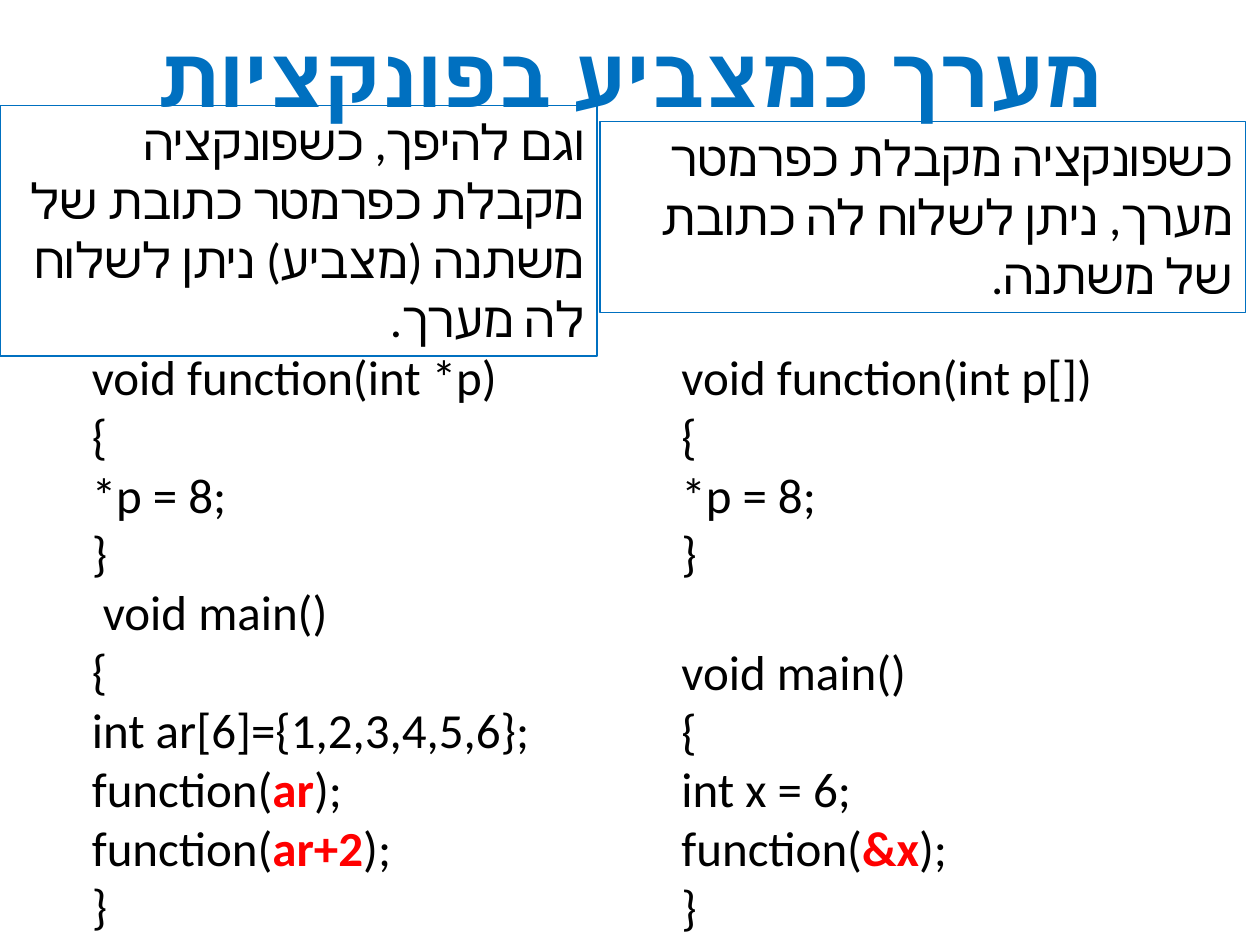
from dataclasses import dataclass

from lxml import etree
from pptx import Presentation
from pptx.dml.color import RGBColor
from pptx.enum import shapes, text
from pptx.oxml import ns
from pptx.util import Pt


@dataclass(frozen=True)
class Theme:
    font: str = "Calibri"
    blue: RGBColor = RGBColor(0x00, 0x70, 0xC0)
    red: RGBColor = RGBColor(0xFF, 0x00, 0x00)
    black: RGBColor = RGBColor(0x00, 0x00, 0x00)
    white: RGBColor = RGBColor(0xFF, 0xFF, 0xFF)
    title_size: int = 48
    body_size: int = 28
    blank_line: int = 34
    nudge: float = 6.3
    border: float = 0.75


THEME = Theme()

TITLE = "מערך כמצביע בפונקציות"
ARRAY_NOTE = "כשפונקציה מקבלת כפרמטר מערך, ניתן לשלוח לה כתובת של משתנה."
POINTER_NOTE = ("וגם להיפך, כשפונקציה מקבלת כפרמטר כתובת של משתנה (מצביע) "
                "ניתן לשלוח לה מערך.")
BODY = ["{", "*p = 8;", "}"]
ARRAY_CODE = ["void function(int p[])", *BODY, "void main()", "{",
              "int x = 6;", ("function(", "&x", ");"), "}"]
POINTER_CODE = ["void function(int *p)", *BODY, "void main()", "{",
                "int ar[6]={1,2,3,4,5,6};", ("function(", "ar", ");"),
                ("function(", "ar+2", ");"), "}"]


def add_run(p, words, size, color, bold=False):
    r = p.add_run()
    r.text = words
    formats = {"name": THEME.font, "size": Pt(size), "bold": bold}
    for name, value in formats.items():
        setattr(r.font, name, value)
    r.font.color.rgb = color
    cs = etree.SubElement(r.font._element, ns.qn("a:cs"))
    cs.set("typeface", THEME.font)


def write_hebrew(tf, words, size, color, align, bold=False):
    p = tf.paragraphs[0]
    p.alignment = align
    p._p.get_or_add_pPr().set("rtl", "1")
    add_run(p, words, size, color, bold)


def place(sp, box):
    for name, value in zip(("left", "top", "width", "height"), box):
        setattr(sp, name, Pt(value))


def format_frame(tf, anchor, auto_size):
    formats = {"word_wrap": True, "vertical_anchor": anchor,
               "auto_size": auto_size}
    for name, value in formats.items():
        setattr(tf, name, value)


def add_box(s, box):
    sp = s.shapes.add_shape(shapes.MSO_SHAPE.RECTANGLE, *map(Pt, box))
    sp.shadow.inherit = False
    return sp


def add_title(s, box):
    sp = s.shapes.title
    place(sp, box)
    format_frame(sp.text_frame, text.MSO_ANCHOR.MIDDLE,
                 text.MSO_AUTO_SIZE.SHAPE_TO_FIT_TEXT)
    write_hebrew(sp.text_frame, TITLE, THEME.title_size, THEME.blue,
                 text.PP_ALIGN.CENTER, bold=True)


def add_note(s, box, words):
    sp = add_box(s, box)
    sp.fill.background()
    sp.line.color.rgb = THEME.blue
    sp.line.width = Pt(THEME.border)
    format_frame(sp.text_frame, text.MSO_ANCHOR.TOP,
                 text.MSO_AUTO_SIZE.SHAPE_TO_FIT_TEXT)
    write_hebrew(sp.text_frame, words, THEME.body_size, THEME.black,
                 text.PP_ALIGN.RIGHT)


def add_code(s, box, lines, main_gap=0, main_indent=0):
    sp = add_box(s, box)
    sp.fill.solid()
    sp.fill.fore_color.rgb = THEME.white
    sp.line.fill.background()
    tf = sp.text_frame
    format_frame(tf, text.MSO_ANCHOR.TOP, text.MSO_AUTO_SIZE.NONE)
    for i, line in enumerate(lines):
        p = tf.add_paragraph() if i else tf.paragraphs[0]
        p.alignment = text.PP_ALIGN.LEFT
        if line == "void main()":
            p.space_before = Pt(main_gap)
            p._p.get_or_add_pPr().set("marL", str(Pt(main_indent)))
        parts = (line,) if isinstance(line, str) else line
        for j, part in enumerate(parts):
            marked = j == 1
            add_run(p, part, THEME.body_size,
                    THEME.red if marked else THEME.black, marked)


def add_column(s, note_box, code_box, words, lines, **main_format):
    add_code(s, code_box, lines, **main_format)
    add_note(s, note_box, words)


def main():
    prs = Presentation()
    prs.slide_width, prs.slide_height = Pt(720), Pt(540)
    s = prs.slides.add_slide(prs.slide_layouts[5])
    add_title(s, (0, 9.4, 720, 65.5))
    add_column(s, (342.9, 69.6, 368.8, 108.9), (382.3, 194.4, 317.5, 344.2),
               ARRAY_NOTE, ARRAY_CODE, main_gap=THEME.blank_line)
    add_column(s, (0, 60.4, 341.2, 143), (45.4, 194.4, 314.6, 341.3),
               POINTER_NOTE, POINTER_CODE, main_indent=THEME.nudge)
    prs.save("out.pptx")


if __name__ == "__main__":
    main()
